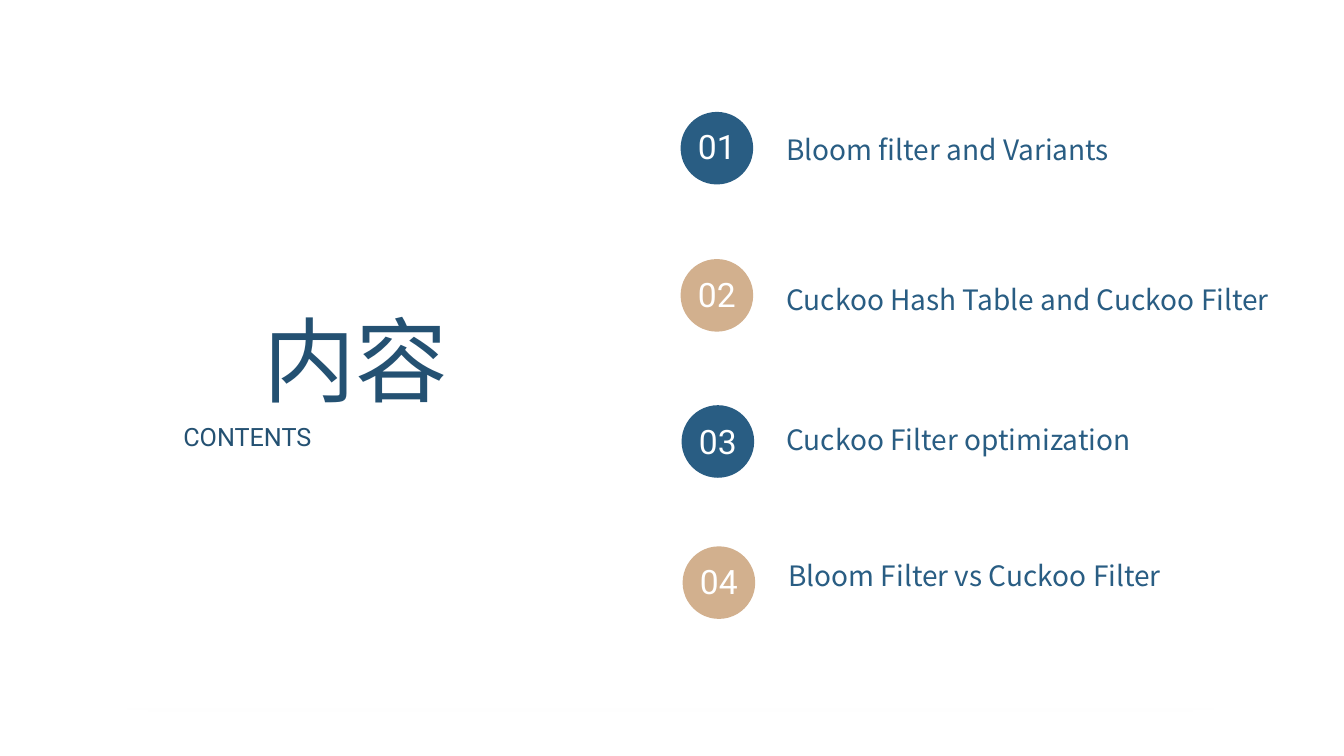
from lxml import etree
from pptx import Presentation
from pptx.dml.color import RGBColor
from pptx.enum.shapes import MSO_SHAPE as Shape
from pptx.enum.text import MSO_AUTO_SIZE as Fit, PP_ALIGN as Align
from pptx.oxml.ns import qn
from pptx.util import Inches, Pt

# Content: label, label left and top, disc left and top, number top
TOPICS = [
    ("Bloom filter and Variants", 7.7, 1.27, 6.75, 1.11, 1.2),
    ("Cuckoo Hash Table and Cuckoo Filter", 7.7, 2.75, 6.75, 2.57, 2.67),
    ("Cuckoo Filter optimization", 7.7, 4.14, 6.76, 4.02, 4.13),
    ("Bloom Filter vs Cuckoo Filter", 7.72, 5.49, 6.77, 5.42, 5.52),
]
NAVY, BLUE, TAN, WHITE, DARK = "245172", "295D83", "D2B08E", "FFFFFF", "262626"
SANS, LATIN = "Noto Sans CJK SC", "Roboto"
DISC = 0.72

deck = Presentation()
deck.slide_width, deck.slide_height = Inches(13.33), Inches(7.5)
slide = deck.slides.add_slide(deck.slide_layouts[6])


def color(code):
    return RGBColor.from_string(code)


def place(*box):
    return [Inches(n) for n in box]


def add_form(kind, box, fill):
    form = slide.shapes.add_shape(kind, *place(*box))
    form.shadow.inherit = False
    form.fill.solid()
    form.fill.fore_color.rgb = color(fill)
    form.line.fill.background()
    return form


def add_text(text, box, size, face, ink, align=Align.LEFT):
    frame = slide.shapes.add_textbox(*place(*box)).text_frame
    frame.word_wrap = True
    frame.auto_size = Fit.SHAPE_TO_FIT_TEXT
    para = frame.paragraphs[0]
    para.alignment = align
    run = para.add_run()
    run.text = text
    run.font.size = Pt(size)
    run.font.name = face
    run.font.color.rgb = color(ink)
    # East Asian glyphs use the same face
    etree.SubElement(run.font._element, qn("a:ea")).set("typeface", face)


def soften(form, alpha, radius):
    props = form._element.spPr
    tint = props.find(qn("a:solidFill"))[0]
    etree.SubElement(tint, qn("a:alpha")).set("val", str(alpha * 1000))
    glow = props.find(qn("a:effectLst"))
    etree.SubElement(glow, qn("a:softEdge")).set("rad", str(Pt(radius)))


# Panel with a faint shade below it
shade = add_form(Shape.RECTANGLE, (0.46, 1.17, 12.39, 6.13), DARK)
soften(shade, 25, 30)
add_form(Shape.RECTANGLE, (0.54, 0.47, 12.25, 6.56), WHITE)

# Title
add_text("内容", (1.58, 2.96, 3.9, 1.21), 66, SANS, NAVY, Align.CENTER)
add_text("CONTENTS", (1.72, 4.13, 3.63, 0.4), 18, LATIN, NAVY, Align.JUSTIFY)

# Numbered topics
for i, (label, left, top, disc_x, disc_y, num_y) in enumerate(TOPICS):
    add_text(label, (left, top, 5.12, 0.44), 20, SANS, BLUE)
    add_form(Shape.OVAL, (disc_x, disc_y, DISC, DISC), (BLUE, TAN)[i % 2])
    add_text(f"{i + 1:02}", (disc_x - 0.01, num_y, 0.74, 0.5), 24, LATIN,
             WHITE, Align.CENTER)

deck.save("out.pptx")
